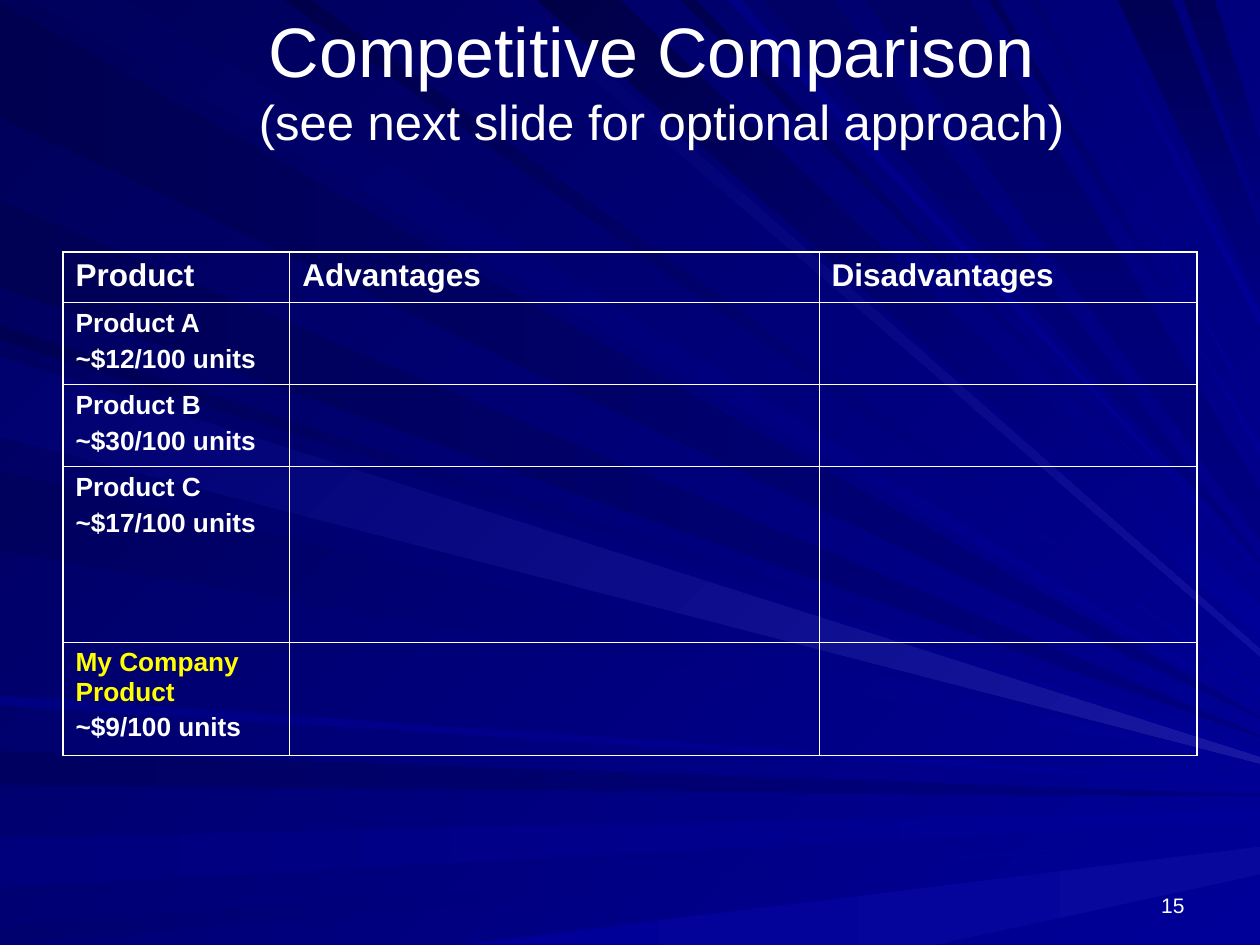
from lxml import etree
from pptx import Presentation, util as u
from pptx.dml.color import RGBColor
from pptx.enum import text
from pptx.oxml import ns

INCH = 2.54
HUNDREDTH = u.Cm(INCH / 100)


def paint(fill, start, end, angle):
    fill.gradient()
    fill.gradient_angle = (360 - angle) % 360
    for stop, position, color in zip(fill.gradient_stops, (0, 1), (start, end)):
        stop.position = position
        stop.color.rgb = RGBColor.from_string(color)


def write(paragraph, content, size, color="FFFFFF", bold=False):
    paragraph.text = content
    look = {"name": "Arial", "size": u.Pt(size), "bold": bold}
    for run in paragraph.runs:
        for key, value in look.items():
            setattr(run.font, key, value)
        run.font.color.rgb = RGBColor.from_string(color)


deck = Presentation()
deck.slide_width, deck.slide_height = u.Cm(25.4), u.Cm(19.05)
slide = deck.slides.add_slide(deck.slide_layouts[6])
paint(slide.background.fill, "000058", "000099", 45)

rays = {
    ("left", 0): [
        ("000051", "000080", 2, 93, 570, 569), ("000061", "000080", 596, 623, 632, 631),
        ("00007D", "000099", 665, 704, 651, 643), ("00006F", "000099", 735, 750, 662, 661),
        ("000055", "000080", 159, 228, 585, 584), ("000082", "000099", 552, 560, 623, 621)],
    ("bottom", 0): [("000099", "08089C", 364, 742, 694, 672)],
    ("top", 45): [
        ("00005D", "000099", 26, 101, 562, 563), ("00006B", "0F0F9F", 398, 416, 515, 521),
        ("000047", "000099", 426, 492, 479, 507), ("00004F", "000099", 540, 552, 462, 463),
        ("00004A", "000099", 225, 247, 547, 552), ("000082", "000099", 577, 588, 453, 454),
        ("000058", "000099", 785, 792, 354, 360), ("00006F", "000099", 815, 824, 335, 336),
        ("000079", "000099", 865, 872, 249, 258)],
    ("top", 90): [
        ("000065", "000080", 606, 661, 445, 446), ("000055", "000080", 887, 930, 183, 237),
        ("000059", "000080", 939, 964, 114, 167), ("000065", "000080", 686, 770, 390, 428)],
    ("left", 45): [
        ("000053", "000099", 258, 270, 589, 588), ("000061", "000099", 278, 342, 602, 596),
        ("00005D", "000099", 374, 437, 606, 605), ("00006F", "1717A2", 283, 347, 606, 601)],
}
for (edge, angle), family in rays.items():
    for start, end, near, far, far_tip, near_tip in family:
        corners = [{"left": (0, along), "top": (along, 0), "bottom": (along, 750)}[edge]
                   for along in (near, far)]
        corners += [(1000, far_tip), (1000, near_tip)]
        outline = slide.shapes.build_freeform(*corners[0], scale=HUNDREDTH)
        outline.add_line_segments(corners[1:], close=True)
        ray = outline.convert_to_shape()
        ray.shadow.inherit = False
        ray.line.fill.background()
        paint(ray.fill, start, end, angle)

captions = [
    ("15", 12, (18.21, 17.35, 5.92, 1.27), "BOTTOM", "RIGHT"),
    ("Competitive Comparison \v(see next slide for optional approach)", 40,
     (1.27, 0, 24.13, 3.18), "MIDDLE", "CENTER"),
]
for content, size, place, anchor, alignment in captions:
    caption = slide.shapes.add_textbox(*map(u.Cm, place)).text_frame
    caption.word_wrap = True
    caption.vertical_anchor = text.MSO_ANCHOR[anchor]
    caption.paragraphs[0].alignment = text.PP_ALIGN[alignment]
    write(caption.paragraphs[0], content, size)
caption.paragraphs[0].runs[1].font.size = u.Pt(28)

headings = ["Product", "Advantages", "Disadvantages"]
products = [("Product A", "~$12/100 units"), ("Product B", "~$30/100 units"),
            ("Product C", "~$17/100 units"), ("My Company Product", "~$9/100 units")]
widths = [1.8, 4.2, 3]
heights = [0.4, 0.65, 0.65, 1.39, 0.9]
comparison = slide.shapes.add_table(
    len(heights), len(widths), u.Cm(1.27), u.Cm(5.08),
    u.Cm(sum(widths) * INCH), u.Cm(sum(heights) * INCH)).table
comparison.first_row = comparison.horz_banding = False
for column, width in zip(comparison.columns, widths):
    column.width = u.Cm(width * INCH)
for row, height in zip(comparison.rows, heights):
    row.height = u.Cm(height * INCH)

for column, heading in enumerate(headings):
    write(comparison.cell(0, column).text_frame.paragraphs[0], heading, 18, bold=True)
for row, (product, price) in enumerate(products, 1):
    entry = comparison.cell(row, 0).text_frame
    color = "FFFF00" if product.startswith("My") else "FFFFFF"
    write(entry.paragraphs[0], product, 15, color, True)
    price_line = entry.add_paragraph()
    price_line.space_before = u.Pt(3.7)
    write(price_line, price, 15, bold=True)

for row in range(len(heights)):
    for column in range(len(widths)):
        cell = comparison.cell(row, column)
        cell.fill.background()
        outer = {"lnL": column == 0, "lnR": column == len(widths) - 1,
                 "lnT": row == 0, "lnB": row == len(heights) - 1}
        for order, (side, is_outer) in enumerate(outer.items()):
            border = etree.Element(ns.qn(f"a:{side}"), w=str(u.Pt(1.08 if is_outer else 0.45)))
            solid = etree.SubElement(border, ns.qn("a:solidFill"))
            etree.SubElement(solid, ns.qn("a:srgbClr"), val="FFFFFF")
            cell._tc.get_or_add_tcPr().insert(order, border)

deck.save("out.pptx")
